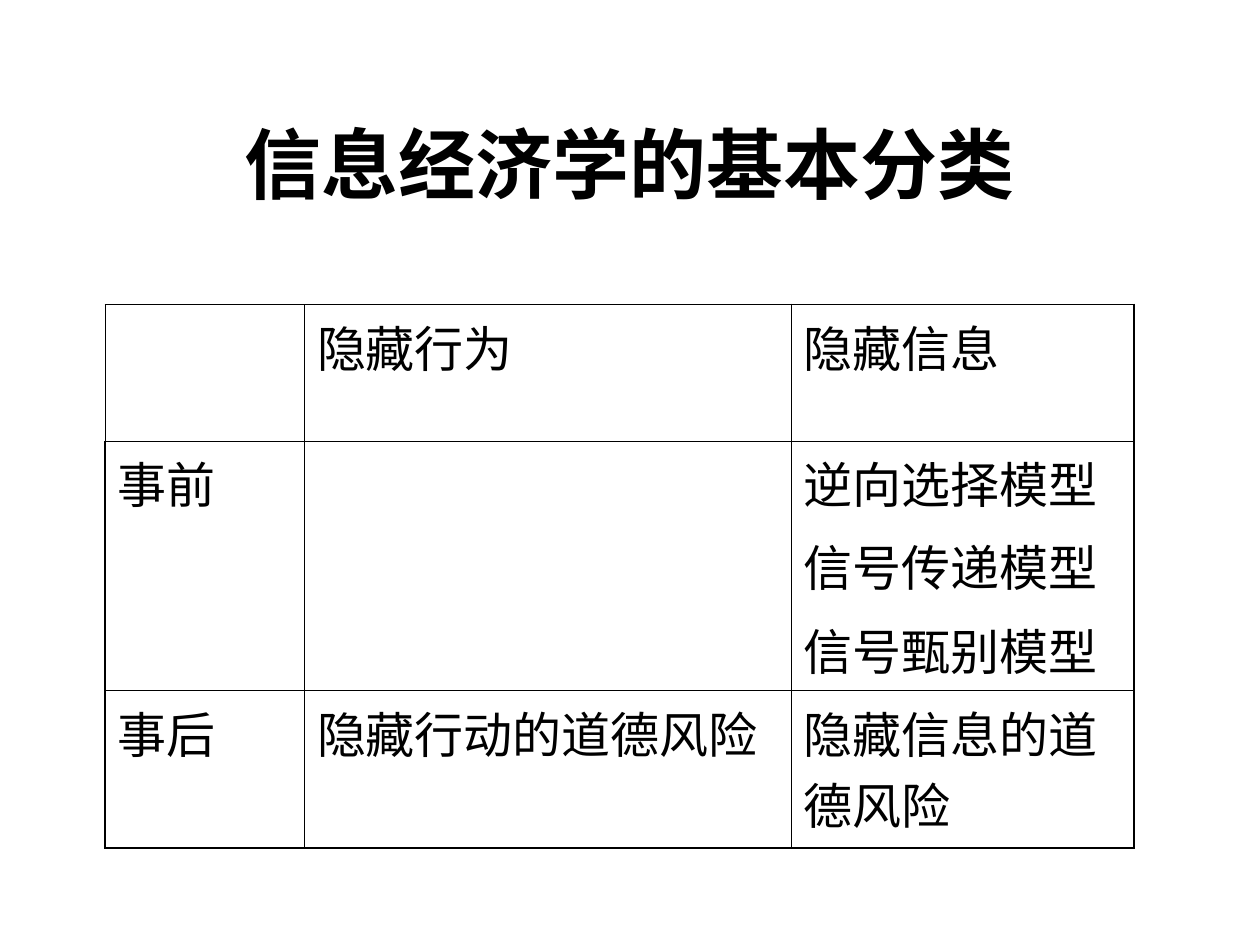
import pptx
import pptx.dml.color
import pptx.enum.lang
import pptx.enum.text
import pptx.oxml.ns
import pptx.util
from lxml import etree

Pt = pptx.util.Pt
INK = "000000"
OUTER, INNER = 1.08, 0.45
COLUMN_WIDTHS = (114, 278, 196)
ROW_HEIGHTS = (78, 122, 90)
CATEGORIES = [
    [[], ["隐藏行为"], ["隐藏信息"]],
    [["事前"], [], ["逆向选择模型", "信号传递模型", "信号甄别模型"]],
    [["事后"], ["隐藏行动的道德风险"], ["隐藏信息的道德风险"]],
]


def rgb(value):
    return pptx.dml.color.RGBColor.from_string(value)


def add_run(paragraph, text, size, bold=False):
    run = paragraph.add_run()
    run.text = text
    run.font.name = "Times New Roman"
    run.font.size = Pt(size)
    run.font.bold = bold
    run.font.color.rgb = rgb(INK)
    run.font.language_id = pptx.enum.lang.MSO_LANGUAGE_ID.SIMPLIFIED_CHINESE


def set_borders(cell, widths):
    """Draw the cell edges; widths maps L, R, T and B, in that order, to points."""
    properties = cell._tc.get_or_add_tcPr()
    qn = pptx.oxml.ns.qn
    for side, width in widths.items():
        line = etree.SubElement(properties, qn(f"a:ln{side}"), w=str(int(Pt(width))))
        fill = etree.SubElement(line, qn("a:solidFill"))
        etree.SubElement(fill, qn("a:srgbClr"), val=INK)


def fill_cell(cell, lines):
    cell.fill.background()
    for index, text in enumerate(lines):
        frame = cell.text_frame
        paragraph = frame.add_paragraph() if index else frame.paragraphs[0]
        if index:
            paragraph.space_before = Pt(7)
        add_run(paragraph, text, 28)


def add_title(slide, left, top, width, height):
    title = slide.shapes.title
    title.left, title.top = Pt(left), Pt(top)
    title.width, title.height = Pt(width), Pt(height)
    title.text_frame.vertical_anchor = pptx.enum.text.MSO_ANCHOR.MIDDLE
    heading = title.text_frame.paragraphs[0]
    heading.alignment = pptx.enum.text.PP_ALIGN.CENTER
    add_run(heading, "信息经济学的基本分类", 44, bold=True)


def add_category_table(slide, left, top):
    row_count, column_count = len(ROW_HEIGHTS), len(COLUMN_WIDTHS)
    table = slide.shapes.add_table(
        row_count, column_count, Pt(left), Pt(top),
        Pt(sum(COLUMN_WIDTHS)), Pt(sum(ROW_HEIGHTS))).table
    table.first_row = table.horz_banding = False
    for column, width in zip(table.columns, COLUMN_WIDTHS):
        column.width = Pt(width)
    for r, (row, height) in enumerate(zip(table.rows, ROW_HEIGHTS)):
        row.height = Pt(height)
        for c, cell in enumerate(row.cells):
            corner = r == c == 0
            on_edge = {"L": c == 0, "R": c == column_count - 1,
                       "T": r == 0, "B": r == row_count - 1}
            set_borders(cell, {side: OUTER if edge and not corner else INNER
                               for side, edge in on_edge.items()})
            fill_cell(cell, CATEGORIES[r][c])


def main():
    presentation = pptx.Presentation()
    presentation.slide_width, presentation.slide_height = Pt(720), Pt(540)
    slide = presentation.slides.add_slide(presentation.slide_layouts[5])
    add_title(slide, 54, 48, 612, 90)
    add_category_table(slide, 60, 174)
    presentation.save("out.pptx")


if __name__ == "__main__":
    main()
